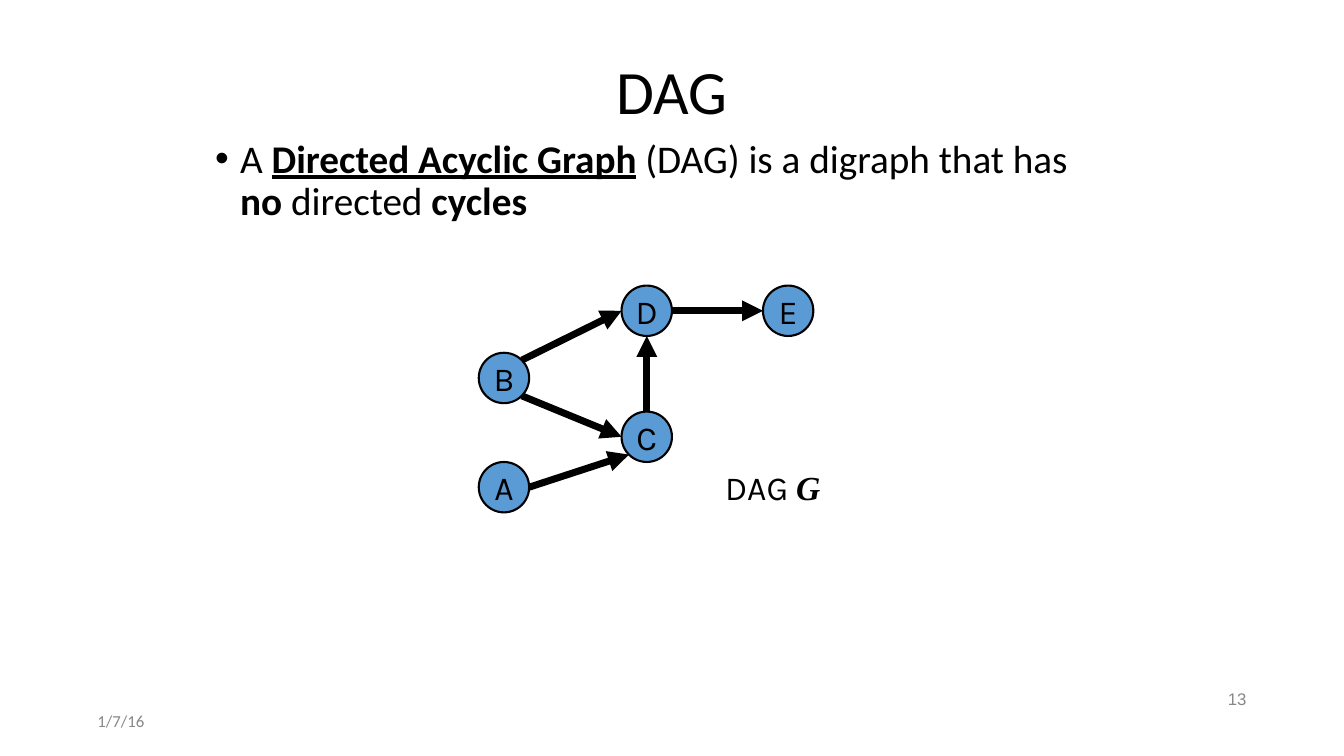
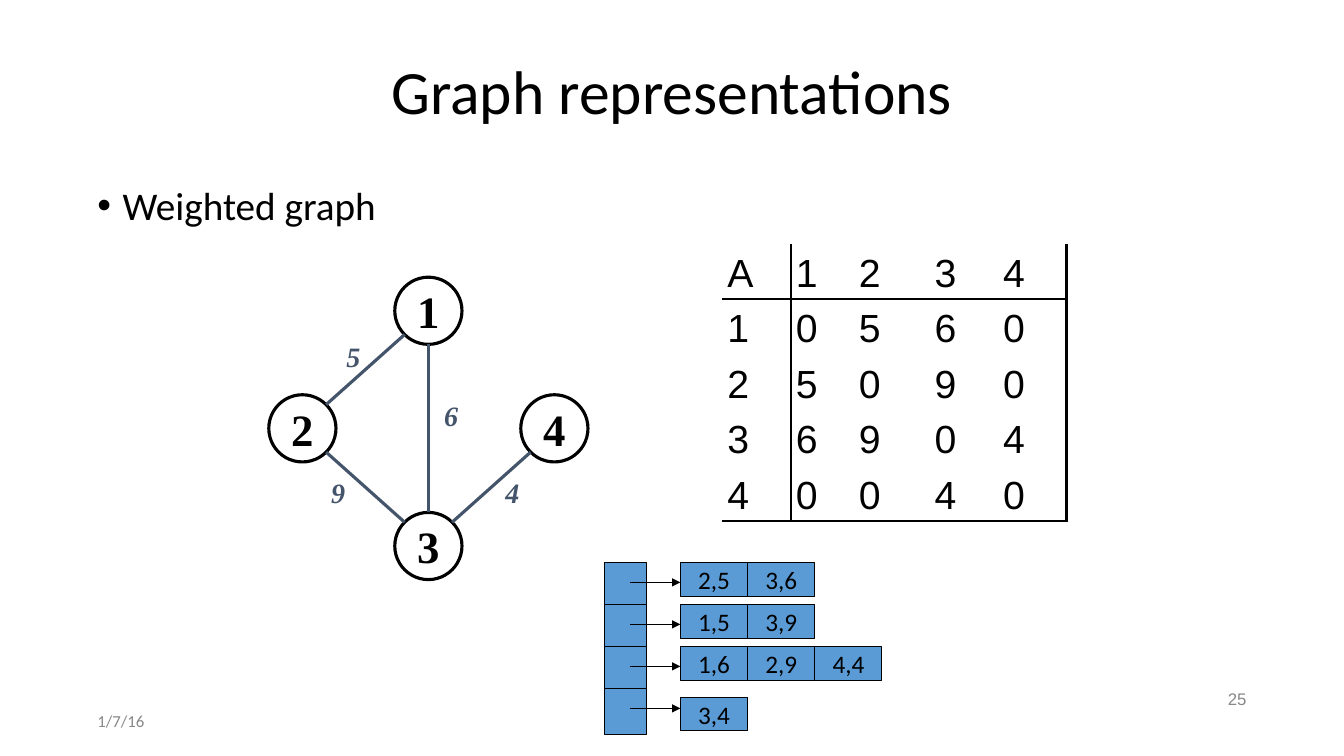
from dataclasses import dataclass
from math import cos, radians, sin

from lxml import etree
from pptx import Presentation
from pptx import util as u
from pptx.dml.color import RGBColor
from pptx.enum import shapes, text
from pptx.oxml.ns import qn

Pt = u.Pt
ALIGN = text.PP_ALIGN
ANCHOR = text.MSO_ANCHOR


@dataclass(frozen=True)
class Theme:
    ink: str = "000000"
    blue: str = "5B9BD5"
    slate: str = "44546A"
    gray: str = "888888"
    sans: str = "Calibri"
    plain: str = "Arial"
    label: str = "Karla"
    serif: str = "Times New Roman"
    title_size: float = 44
    body_size: float = 28
    digit_size: float = 32
    label_size: float = 24
    weight_size: float = 20
    entry_size: float = 18
    footer_size: float = 12
    inset: float = 3.6
    hairline: float = 0.75
    thin: float = 1
    outline: float = 1.5
    medium: float = 2.25
    heavy: float = 5


THEME = Theme()


def rgb(color):
    return RGBColor.from_string(color)


def write(frame, runs, *, font=THEME.sans, size=THEME.body_size, color=THEME.ink,
          bold=False, italic=False, align=ALIGN.LEFT, anchor=ANCHOR.TOP,
          inset=THEME.inset, wrap=True, line_spacing=None, space_before=None, bullet=None):
    frame.word_wrap = wrap
    frame.vertical_anchor = anchor
    frame.margin_left = frame.margin_right = Pt(inset)
    frame.margin_top = frame.margin_bottom = Pt(inset)
    paragraph = frame.paragraphs[0]
    paragraph.alignment = align
    if line_spacing is not None:
        paragraph.line_spacing = line_spacing
    if space_before is not None:
        paragraph.space_before = Pt(space_before)
    if bullet:
        properties = paragraph._p.get_or_add_pPr()
        properties.set("marL", str(Pt(18)))
        properties.set("indent", str(-Pt(18)))
        etree.SubElement(properties, qn("a:buFont"), typeface=THEME.plain)
        etree.SubElement(properties, qn("a:buChar"), char=bullet)
    for content, changes in [(runs, {})] if isinstance(runs, str) else runs:
        run = paragraph.add_run()
        run.text = content
        run.font.name = changes.get("font", font)
        run.font.size = Pt(size)
        run.font.color.rgb = rgb(color)
        run.font.bold = changes.get("bold", bold)
        run.font.italic = changes.get("italic", italic)
        run.font.underline = changes.get("underline", False)


def add_text(slide, box, runs, **style):
    shape = slide.shapes.add_textbox(*map(Pt, box))
    write(shape.text_frame, runs, **style)


def add_box(slide, kind, box, fill, width, label="", **style):
    shape = slide.shapes.add_shape(kind, *map(Pt, box))
    shape.shadow.inherit = False
    if fill:
        shape.fill.solid()
        shape.fill.fore_color.rgb = rgb(fill)
    else:
        shape.fill.background()
    shape.line.color.rgb = rgb(THEME.ink)
    shape.line.width = Pt(width)
    if label:
        write(shape.text_frame, label, align=ALIGN.CENTER, anchor=ANCHOR.MIDDLE,
              inset=0, wrap=False, **style)
    return shape


def add_line(slide, start, end, color, width, arrow=False):
    connector = slide.shapes.add_connector(
        shapes.MSO_CONNECTOR.STRAIGHT, *map(Pt, (*start, *end)))
    connector.line.color.rgb = rgb(color)
    connector.line.width = Pt(width)
    if arrow:
        etree.SubElement(connector.line._get_or_add_ln(), qn("a:tailEnd"), type="triangle")
    etree.SubElement(connector._element.spPr, qn("a:effectLst"))


def rim(node, angle):
    radius = node.width.pt / 2
    return (node.left.pt + radius * (1 + cos(radians(angle))),
            node.top.pt + radius * (1 + sin(radians(angle))))


def add_graph(slide, places, edges, diameter, fill, outline, edge_color, edge_width,
              arrow, **style):
    nodes = {
        name: add_box(slide, shapes.MSO_SHAPE.OVAL, (left, top, diameter, diameter),
                      fill, outline, name, **style)
        for name, (left, top) in places.items()
    }
    for source, leave, target, arrive in edges:
        add_line(slide, rim(nodes[source], leave), rim(nodes[target], arrive),
                 edge_color, edge_width, arrow)


def set_borders(cell, widths):
    properties = cell._tc.get_or_add_tcPr()
    for side in ("L", "R", "T", "B"):
        width = widths.get(side)
        border = etree.SubElement(properties, qn(f"a:ln{side}"))
        if width:
            border.set("w", str(Pt(width)))
            fill = etree.SubElement(border, qn("a:solidFill"))
            etree.SubElement(fill, qn("a:srgbClr"), val=THEME.ink)
        else:
            border.set("w", "0")
            etree.SubElement(border, qn("a:noFill"))


def add_matrix(slide, left, top, column_widths, row_height, rows):
    last_row, last_column = len(rows) - 1, len(column_widths) - 1
    table = slide.shapes.add_table(
        len(rows), len(column_widths), Pt(left), Pt(top),
        Pt(sum(column_widths)), Pt(row_height * len(rows))).table
    table.first_row = table.horz_banding = False
    for column, width in zip(table.columns, column_widths):
        column.width = Pt(width)
    for i, values in enumerate(rows):
        table.rows[i].height = Pt(row_height)
        for j, value in enumerate(values):
            cell = table.cell(i, j)
            write(cell.text_frame, value, font=THEME.plain)
            cell.margin_left = cell.margin_right = Pt(THEME.inset)
            cell.margin_top, cell.margin_bottom = Pt(6), Pt(0)
            set_borders(cell, {
                "L": THEME.thin if j == 1 else None,
                "R": {0: THEME.thin, last_column: THEME.medium}.get(j),
                "T": THEME.thin if i == 1 else None,
                "B": {0: THEME.thin, last_row: THEME.medium}.get(i),
            })
            cell.fill.background()


def add_adjacency_list(slide, lists):
    rectangle = shapes.MSO_SHAPE.RECTANGLE
    for i in range(len(lists)):
        add_box(slide, rectangle, (432, 402 + 30 * i, 30, 32.4), THEME.blue, THEME.hairline)
    for i, (top, entries) in enumerate(lists):
        for j, entry in enumerate(entries):
            add_box(slide, rectangle, (486 + 48 * j, top, 48, 24), THEME.blue,
                    THEME.hairline, entry, size=THEME.entry_size)
        add_line(slide, (450, 416 + 30 * i), (486, 416 + 30 * i),
                 THEME.ink, THEME.hairline, arrow=True)


def add_slide(presentation, title, body, body_box, number):
    slide = presentation.slides.add_slide(presentation.slide_layouts[6])
    add_text(slide, (66, 28.8, 828, 77), title, size=THEME.title_size,
             align=ALIGN.CENTER, anchor=ANCHOR.MIDDLE, line_spacing=0.9)
    add_text(slide, body_box, body, line_spacing=0.9, space_before=10, bullet="•")
    footer = dict(size=THEME.footer_size, color=THEME.gray, anchor=ANCHOR.MIDDLE)
    add_text(slide, (66, 504, 216, 21), "1/7/16", **footer)
    add_text(slide, (678, 489.6, 216, 21), number, font=THEME.plain,
             align=ALIGN.RIGHT, line_spacing=0.9, **footer)
    return slide


def build_dag(presentation):
    body = [
        ("A ", {}),
        ("Directed Acyclic Graph", {"bold": True, "underline": True}),
        (" (DAG) is a digraph that has ", {}),
        ("no", {"bold": True}),
        (" directed ", {}),
        ("cycles", {"bold": True}),
    ]
    slide = add_slide(presentation, "DAG", body, (150, 96, 648, 414), "13")
    places = {"B": (342, 252), "A": (342, 330), "D": (444, 204),
              "C": (444, 294), "E": (545, 204)}
    edges = [("B", -45, "D", 180), ("B", 45, "C", 180), ("D", 0, "E", 180),
             ("C", -90, "D", 90), ("A", 0, "C", 135)]
    label = dict(font=THEME.label, size=THEME.label_size)
    add_graph(slide, places, edges, 36, THEME.blue, THEME.outline,
              THEME.ink, THEME.heavy, True, **label)
    caption = [("DAG ", {}), ("G", {"font": THEME.serif, "bold": True, "italic": True})]
    add_text(slide, (512, 330, 80, 36.7), caption, align=ALIGN.CENTER, wrap=False, **label)


def build_representations(presentation):
    slide = add_slide(presentation, "Graph representations", "Weighted graph",
                      (66, 129.6, 828, 356), "25")
    places = {"1": (282, 198), "2": (192, 282), "4": (372, 282), "3": (282, 366)}
    edges = [("1", 135, "2", -45), ("2", 45, "3", -135),
             ("4", 135, "3", -45), ("1", 90, "3", -90)]
    add_graph(slide, places, edges, 48, None, THEME.medium, THEME.slate, THEME.medium,
              False, font=THEME.serif, size=THEME.digit_size, bold=True)
    for weight, left, top in [("5", 243.4, 239), ("6", 313.2, 280.8),
                              ("9", 232.6, 336.2), ("4", 357, 336.2)]:
        add_text(slide, (left, top, 18, 29.5), weight, font=THEME.serif,
                 size=THEME.weight_size, color=THEME.slate, bold=True, italic=True,
                 align=ALIGN.CENTER, wrap=False)
    add_matrix(slide, 516, 174, (49, 45, 54, 49, 49), 39.6,
               ("A1234", "10560", "25090", "36904", "40040"))
    add_adjacency_list(slide, [
        (402, ("2,5", "3,6")),
        (432, ("1,5", "3,9")),
        (462, ("1,6", "2,9", "4,4")),
        (498, ("3,4",)),
    ])


def main():
    presentation = Presentation()
    presentation.slide_width, presentation.slide_height = Pt(960), Pt(540)
    build_dag(presentation)
    build_representations(presentation)
    presentation.save("out.pptx")


if __name__ == "__main__":
    main()
